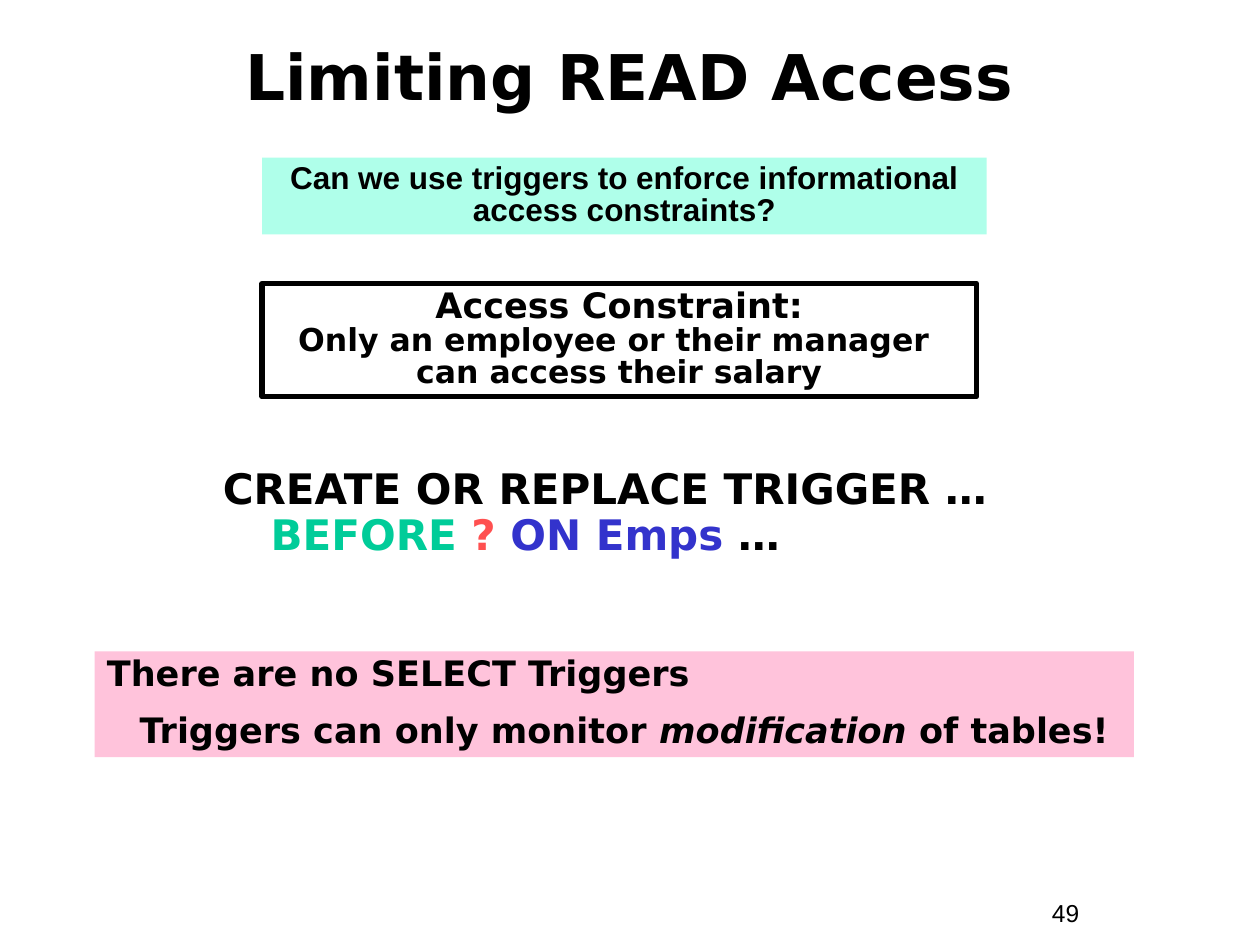
"""Build the slide on limiting READ access with triggers."""
import pptx
import pptx.dml.color
import pptx.enum.shapes
import pptx.enum.text
import pptx.util

Inches = pptx.util.Inches
Pt = pptx.util.Pt
ALIGN = pptx.enum.text.PP_ALIGN
COLORS = {
    "black": "000000",
    "green": "00CC99",
    "red": "FF5050",
    "blue": "3333CC",
    "mint": "AFFFEA",
    "pink": "FFC3DB",
}


def rgb(name):
    return pptx.dml.color.RGBColor.from_string(COLORS[name])


def add_text(p, text, size=20, color="black", font="DejaVu Sans", bold=True, italic=False):
    for i, line in enumerate(text.split("\n")):
        if i:
            p.add_line_break()
        if line:
            r = p.add_run()
            r.text = line
            r.font.size = Pt(size)
            r.font.name = font
            r.font.bold = bold
            r.font.italic = italic
            r.font.color.rgb = rgb(color)


prs = pptx.Presentation()
prs.slide_width = Inches(10)
prs.slide_height = Inches(7.5)
s = prs.slides.add_slide(prs.slide_layouts[5])

title = s.shapes.title
title.left, title.top = Inches(0.33), Inches(0.14)
title.width, title.height = Inches(9.33), Inches(0.92)
tf = title.text_frame
tf.word_wrap = True
tf.auto_size = pptx.enum.text.MSO_AUTO_SIZE.NONE
tf.vertical_anchor = pptx.enum.text.MSO_ANCHOR.MIDDLE
tf.paragraphs[0].alignment = ALIGN.CENTER
add_text(tf.paragraphs[0], "Limiting READ Access", size=36)

number = s.shapes.add_textbox(Inches(8.25), Inches(7.08), Inches(0.92), Inches(0.34))
number.text_frame.word_wrap = True
add_text(number.text_frame.paragraphs[0], "49", size=14, font="Arial", bold=False)

code = s.shapes.add_textbox(Inches(1.67), Inches(3.67), Inches(6.79), Inches(1.08))
code.text_frame.word_wrap = True
p = code.text_frame.paragraphs[0]
p.line_spacing = 0.9
pPr = p._p.get_or_add_pPr()
pPr.set("marL", str(Inches(0.38)))
pPr.set("indent", str(Inches(-0.38)))
for text, color in [
    ("CREATE OR REPLACE TRIGGER …\n", "black"),
    ("BEFORE ", "green"),
    ("?", "red"),
    (" ON Emps", "blue"),
    (" …", "black"),
]:
    add_text(p, text, size=24, color=color)

boxes = []
for left, top, width, height, fill, align in [
    (2.08, 2.25, 5.67, 0.9, None, ALIGN.CENTER),
    (0.75, 5.17, 8.25, 0.84, "pink", ALIGN.LEFT),
    (2.08, 1.25, 5.75, 0.61, "mint", ALIGN.CENTER),
]:
    sp = s.shapes.add_shape(
        pptx.enum.shapes.MSO_SHAPE.RECTANGLE,
        Inches(left), Inches(top), Inches(width), Inches(height))
    sp.shadow.inherit = False
    if fill:
        sp.fill.solid()
        sp.fill.fore_color.rgb = rgb(fill)
        sp.line.fill.background()
    else:
        sp.fill.background()
        sp.line.color.rgb = rgb("black")
        sp.line.width = Pt(3)
    tf = sp.text_frame
    tf.word_wrap = True
    tf.vertical_anchor = pptx.enum.text.MSO_ANCHOR.TOP
    tf.paragraphs[0].alignment = align
    tf.paragraphs[0].line_spacing = 0.85
    boxes.append(tf)
constraint, answer, question = boxes

p = constraint.paragraphs[0]
add_text(p, "Access Constraint:\n")
add_text(p, "Only an employee or their manager \ncan access their salary", size=18)

add_text(answer.paragraphs[0], "There are no SELECT Triggers")
p = answer.add_paragraph()
p.level = 1
p.alignment = ALIGN.LEFT
p.line_spacing = 0.85
p.space_before = Pt(12.5)
pPr = p._p.get_or_add_pPr()
pPr.set("marL", str(Inches(0.26)))
pPr.set("indent", "0")
add_text(p, "Triggers can only monitor ")
add_text(p, "modification", italic=True)
add_text(p, " of tables!")

add_text(question.paragraphs[0],
         "Can we use triggers to enforce informational access constraints?",
         size=18, font="Arial")

prs.save("out.pptx")
